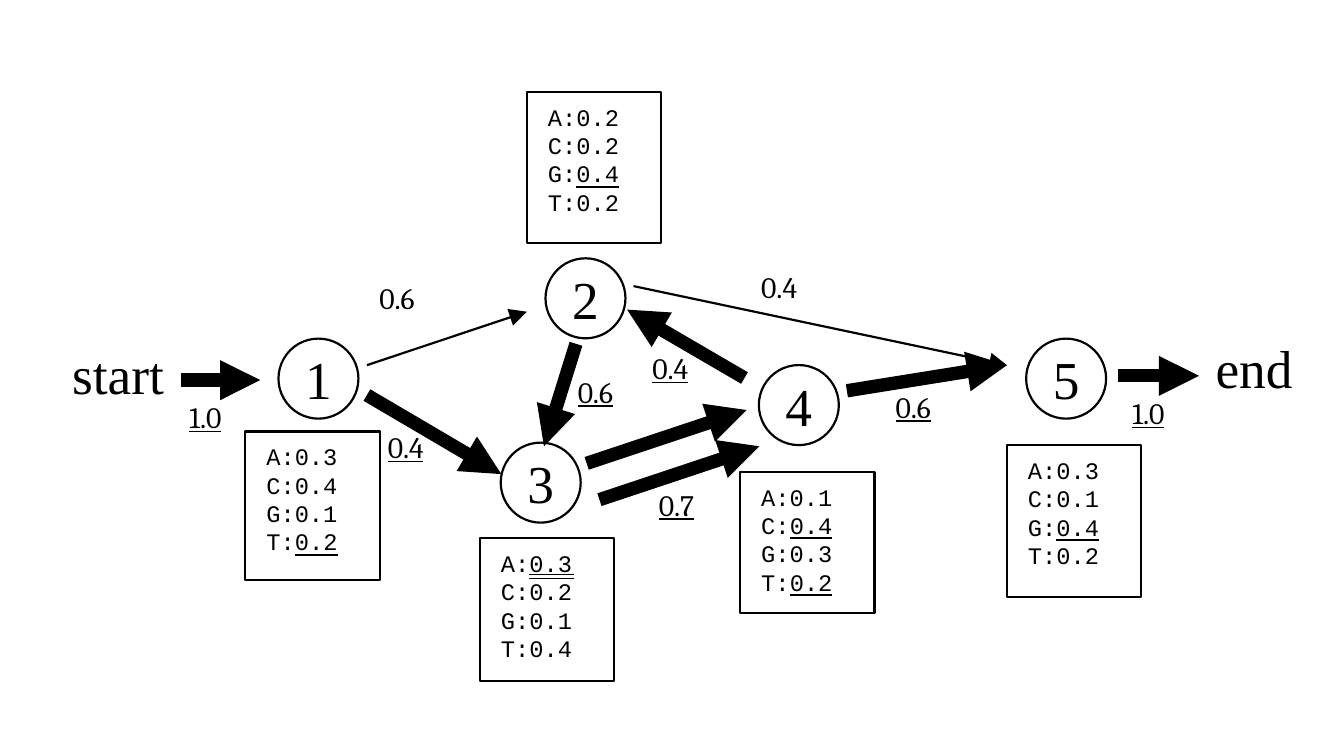
from lxml.etree import SubElement
from pptx import Presentation
from pptx.dml.color import RGBColor
from pptx.enum.shapes import MSO_CONNECTOR as Link, MSO_SHAPE as Preset
from pptx.enum.text import MSO_ANCHOR as Anchor, PP_ALIGN as Align
from pptx.oxml.ns import qn
from pptx.util import Cm, Pt

BLACK = RGBColor(0, 0, 0)
WHITE = RGBColor(255, 255, 255)
COLS, ROWS = 630, 354
DIAMETER, TABLE_WIDTH = 37.5, 63
THIN, THICK, RULE = 0.75, 4.5, 0.5

STATES = {
    "1": ((149.3, 177.3), (115, 202, 69.5), ("0.3", "0.4", "0.1", "0.2"), "T"),
    "2": ((274.5, 139.7), (247, 43, 71), ("0.2", "0.2", "0.4", "0.2"), "G"),
    "3": ((253.5, 226), (225, 252, 67), ("0.3", "0.2", "0.1", "0.4"), ""),
    "4": ((374.5, 189.7), (347, 221, 66), ("0.1", "0.4", "0.3", "0.2"), "CT"),
    "5": ((499.8, 177.3), (472, 208.5, 71), ("0.3", "0.1", "0.4", "0.2"), "G"),
}
ARROWS = [
    ((172, 171), (247, 146), THIN),
    ((172, 185), (235, 222), THICK),
    ((297, 134), (472, 171), THIN),
    ((275, 217), (350, 192), THICK),
    ((397, 183), (472, 171), THICK),
    ((85, 178), (122, 178), THICK),
    ((524, 176), (562, 176), THICK),
    ((349, 177), (294, 145), THICK),
    ((270, 161), (255, 209), THICK),
    ((281, 234), (356, 209), THICK),
]
TRANSITIONS = [
    ("0.6", (168, 126), False), ("0.4", (172, 196), True),
    ("0.4", (347, 121), False), ("0.4", (296, 159), True),
    ("0.7", (299, 223), True), ("0.6", (410, 177), True),
    ("0.6", (261, 170), True), ("1.0", (79, 182), True),
    ("1.0", (521, 180), True),
]
ENDS = [("start", (24, 155), 63), ("end", (560, 152), 56)]
DOUBLE_UNDERLINE = [(248, 269, 269), (248, 269, 271)]

deck = Presentation()
deck.slide_width, deck.slide_height = Cm(16), Cm(9)
slide = deck.slides.add_slide(deck.slide_layouts[6])


def x(cols):
    return round(deck.slide_width * cols / COLS)


def y(rows):
    return round(deck.slide_height * rows / ROWS)


def write(paragraph, words, face, size, underline=False):
    run = paragraph.add_run()
    run.text = words
    run.font.name, run.font.size = face, Pt(size)
    run.font.color.rgb = BLACK
    if underline:
        run.font.underline = True


def outline(preset, left, top, width, height):
    shape = slide.shapes.add_shape(preset, x(left), y(top), x(width), y(height))
    shape.shadow.inherit = False
    shape.fill.solid()
    shape.fill.fore_color.rgb = WHITE
    shape.line.color.rgb = BLACK
    shape.line.width = Pt(THIN)
    return shape.text_frame


def caption(words, place, width, height, face, size, wrap, align, underline=False):
    box = slide.shapes.add_textbox(x(place[0]), y(place[1]), x(width), y(height))
    box.text_frame.word_wrap = wrap
    box.text_frame.paragraphs[0].alignment = align
    write(box.text_frame.paragraphs[0], words, face, size, underline)


def stroke(start, end, weight, arrow=True):
    line = slide.shapes.add_connector(
        Link.STRAIGHT, x(start[0]), y(start[1]), x(end[0]), y(end[1]))
    line.line.color.rgb = BLACK
    line.line.width = Pt(weight)
    properties = line._element.spPr
    if arrow:
        SubElement(properties.find(qn("a:ln")), qn("a:tailEnd"), type="triangle")
    SubElement(properties, qn("a:effectLst"))


for state, (centre, (left, top, height), odds, underlined) in STATES.items():
    node = outline(Preset.OVAL, centre[0] - DIAMETER / 2, centre[1] - DIAMETER / 2,
                   DIAMETER, DIAMETER)
    node.margin_left = node.margin_right = node.margin_top = node.margin_bottom = 0
    node.word_wrap = False
    node.vertical_anchor = Anchor.MIDDLE
    node.paragraphs[0].alignment = Align.CENTER
    write(node.paragraphs[0], state, "Times New Roman", 18)

    emissions = outline(Preset.RECTANGLE, left, top, TABLE_WIDTH, height)
    emissions.vertical_anchor = Anchor.TOP
    for row, (base, chance) in enumerate(zip("ACGT", odds)):
        entry = emissions.add_paragraph() if row else emissions.paragraphs[0]
        entry.alignment = Align.JUSTIFY
        write(entry, base + ":", "Courier New", 8)
        write(entry, chance, "Courier New", 8, base in underlined)

for start, end, weight in ARROWS:
    stroke(start, end, weight)
for chance, place, underline in TRANSITIONS:
    caption(chance, place, 67, 32, "Cambria", 10, True, Align.JUSTIFY, underline)
for word, place, width in ENDS:
    caption(word, place, width, 40, "Times New Roman", 18, False, Align.LEFT)
for left, right, level in DOUBLE_UNDERLINE:
    stroke((left, level), (right, level), RULE, arrow=False)

deck.save("out.pptx")
